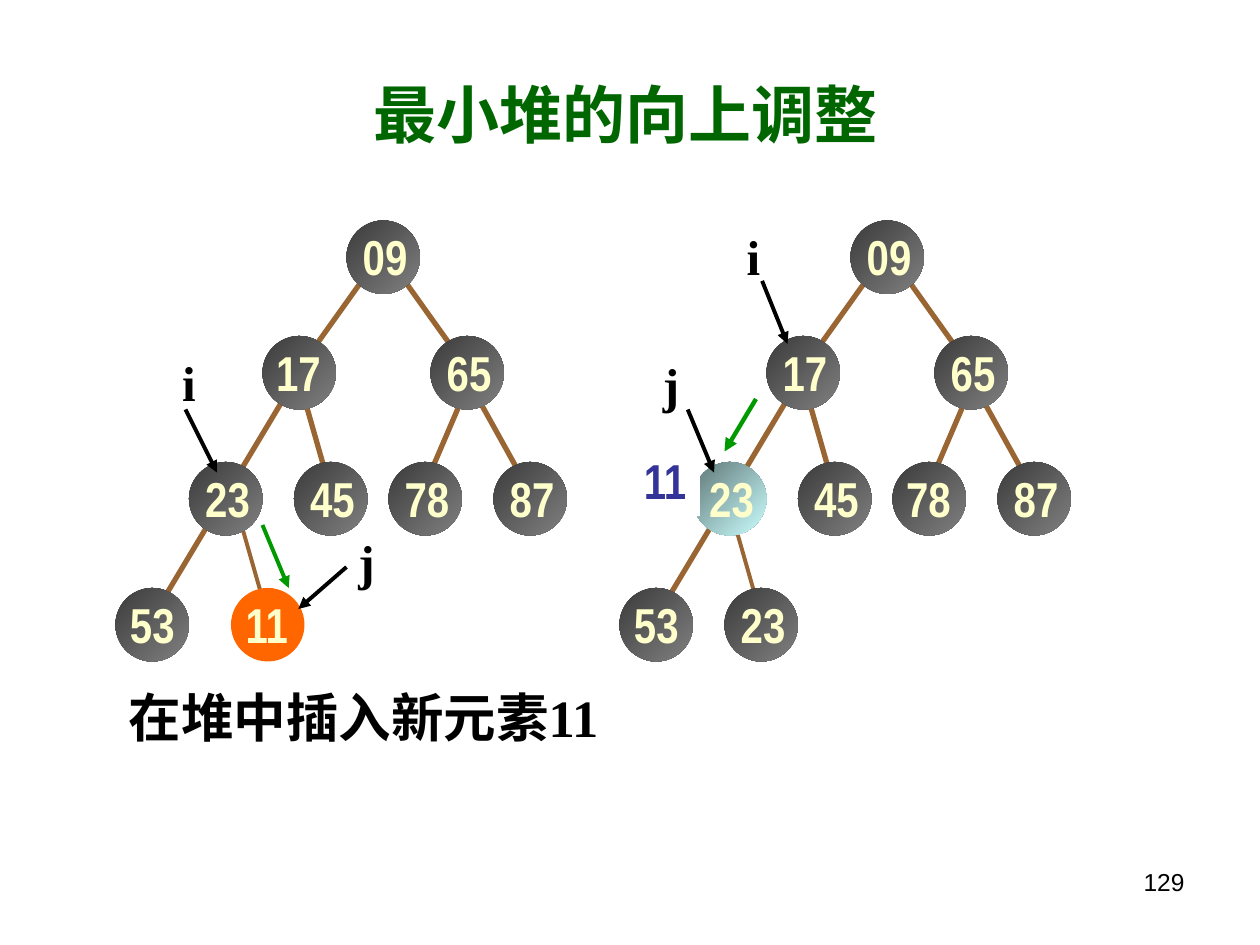
from lxml.etree import SubElement
from pptx import Presentation
from pptx.dml.color import RGBColor
from pptx.enum.shapes import MSO_CONNECTOR, MSO_SHAPE
from pptx.enum.text import MSO_ANCHOR, MSO_AUTO_SIZE, PP_ALIGN
from pptx.oxml.ns import qn
from pptx.util import Pt

COLORS = {
    "title": "006600", "ink": "000000", "number": "FFFFCC", "moved": "333399",
    "edge": "996633", "step": "009900", "new": "FF6600", "paper": "FFFFFF",
    "dark": "3B3B3B", "grey": "808080", "teal": "5E7676", "aqua": "CCFFFF",
}
DIAMETER = 42
TREE_GAP = 288

# Edges and nodes shared by both trees, relative to the left one
EDGES = [
    (270, 222, 300, 276), (264, 228, 246, 270), (228, 156, 258, 198),
    (174, 228, 186, 270), (210, 156, 180, 198), (162, 228, 90, 348),
]
NODES = [
    ("09", 198, 126), ("17", 150, 192), ("65", 246, 192), ("23", 108, 264),
    ("45", 168, 264), ("78", 222, 264), ("87", 282, 264), ("53", 66, 336),
]


def rgb(name):
    return RGBColor.from_string(COLORS[name])


def format_text(shape, text, size, color, font, bold=True,
                align=PP_ALIGN.CENTER, anchor=MSO_ANCHOR.MIDDLE, wrap=False):
    tf = shape.text_frame
    tf.text = text
    tf.word_wrap = wrap
    tf.auto_size = MSO_AUTO_SIZE.NONE
    tf.vertical_anchor = anchor
    p = tf.paragraphs[0]
    p.alignment = align
    r = p.runs[0]
    r.font.size = Pt(size)
    r.font.name = font
    r.font.bold = bold
    r.font.color.rgb = rgb(color)
    return p


def add_text(s, text, box, size=28, color="ink", font="Times New Roman", **style):
    shape = s.shapes.add_textbox(*map(Pt, box))
    format_text(shape, text, size, color, font, **style)
    return shape


def add_number(s, text, x, y, color="number"):
    return add_text(s, text, (x, y, 40, 41), color=color, font="Arial Narrow")


def add_line(s, ends, color, width, arrow=False):
    line = s.shapes.add_connector(MSO_CONNECTOR.STRAIGHT, *map(Pt, ends))
    line.line.color.rgb = rgb(color)
    line.line.width = Pt(width)
    if arrow:
        SubElement(line.line._get_or_add_ln(), qn("a:tailEnd"), type="triangle")
    SubElement(line._element.spPr, qn("a:effectLst"))


def add_node(s, text, x, y, fill=("dark", "grey"), dx=2):
    node = s.shapes.add_shape(MSO_SHAPE.OVAL, Pt(x), Pt(y), Pt(DIAMETER), Pt(DIAMETER))
    node.shadow.inherit = False
    node.line.fill.background()
    if len(fill) == 1:
        node.fill.solid()
        node.fill.fore_color.rgb = rgb(fill[0])
    else:
        node.fill.gradient()
        node.fill.gradient_angle = 315
        for stop, name in zip(node.fill.gradient_stops, fill):
            stop.color.rgb = rgb(name)
    add_number(s, text, x + dx, y)


def add_tree(s, left, fills, shifts):
    for x1, y1, x2, y2 in EDGES:
        add_line(s, (x1 + left, y1, x2 + left, y2), "edge", 3)
    for text, x, y in NODES:
        add_node(s, text, x + left, y, fills.get(text, ("dark", "grey")),
                 shifts.get(text, 2))


def main():
    prs = Presentation()
    prs.slide_width, prs.slide_height = Pt(720), Pt(540)
    s = prs.slides.add_slide(prs.slide_layouts[5])

    # Title
    title = s.shapes.title
    title.left, title.top, title.width, title.height = map(Pt, (206.5, 48, 336, 42))
    p = format_text(title, "最小堆的向上调整", 36, "title", "Times New Roman",
                    align=PP_ALIGN.LEFT, anchor=MSO_ANCHOR.TOP, wrap=True)
    p.line_spacing = 0.8

    # Edges to the added leaf
    add_line(s, (138, 300, 150, 342), "edge", 2.25)
    add_line(s, (420, 300, 432, 342), "edge", 2.25)

    # Heap before and after the first step
    add_tree(s, 0, {}, {"17": 0.5, "53": 1})
    add_node(s, "11", 132, 336, ("new",), 0.5)
    add_tree(s, TREE_GAP, {"23": ("teal", "aqua")}, {"78": 0.5, "53": 1})
    add_node(s, "23", 414, 336)

    # Value being moved up
    moved = add_number(s, "11", 360, 254, "moved")
    moved.fill.solid()
    moved.fill.fore_color.rgb = rgb("paper")

    # Index pointers
    for text, x, y, ends in [
        ("i", 96.5, 198, (106, 234, 124, 270)),
        ("j", 198, 300, (198, 324, 170.5, 348)),
        ("i", 419, 126, (435.5, 160.5, 450, 196.5)),
        ("j", 372, 199, (393, 234, 408, 270)),
    ]:
        add_text(s, text, (x, y, 23, 41))
        add_line(s, ends, "ink", 2.25, arrow=True)

    # Direction of the adjustment
    add_line(s, (150, 300, 165, 336), "step", 2.25, arrow=True)
    add_line(s, (432, 228, 414, 258), "step", 2.5, arrow=True)

    # Caption and slide number
    add_text(s, "在堆中插入新元素11", (62, 388, 291.5, 43), size=30)
    add_text(s, "129", (516, 492, 168, 37.5), size=14, font="Arial", bold=False,
             align=PP_ALIGN.RIGHT, anchor=MSO_ANCHOR.TOP, wrap=True)

    prs.save("out.pptx")


if __name__ == "__main__":
    main()
